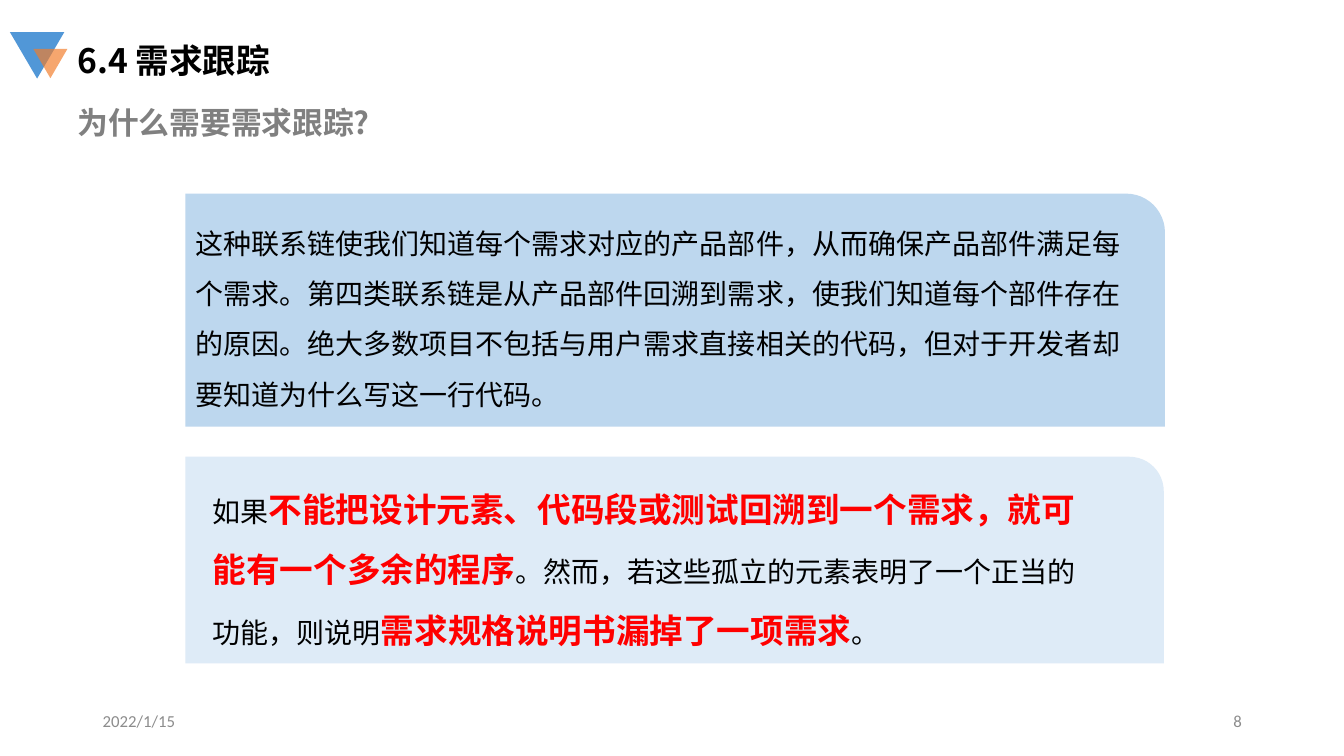
from lxml.etree import SubElement
from pptx import Presentation
from pptx.dml.color import RGBColor
from pptx.enum.shapes import MSO_SHAPE
from pptx.enum.text import MSO_ANCHOR, PP_ALIGN
from pptx.oxml.ns import qn
from pptx.util import Cm, Pt

COLORS = {
    "black": "000000", "red": "FF0000", "gray": "808080", "footer": "8C8C8C",
    "panel": "BDD7EE", "pale panel": "DEEBF7", "blue": "5197D7", "orange": "F37D2A",
}
CJK, LATIN = "Noto Sans CJK SC", "Calibri"

TITLE = "6.4 需求跟踪"
SUBTITLE = "为什么需要需求跟踪?"
REASON = ("这种联系链使我们知道每个需求对应的产品部件，从而确保产品部件满足每个需求。"
          "第四类联系链是从产品部件回溯到需求，使我们知道每个部件存在的原因。"
          "绝大多数项目不包括与用户需求直接相关的代码，但对于开发者却要知道为什么写这一行代码。")
# Text and whether it is emphasised
CONCLUSION = [
    ("如果", False),
    ("不能把设计元素、代码段或测试回溯到一个需求，就可能有一个多余的程序", True),
    ("。然而，若这些孤立的元素表明了一个正当的功能，则说明", False),
    ("需求规格说明书漏掉了一项需求", True),
    ("。", False),
]
# Text, left edge in cm, alignment
FOOTERS = [("2022/1/15", 2.34, PP_ALIGN.LEFT), ("8", 23.93, PP_ALIGN.RIGHT)]
# Left, top, width, height in cm, fill, opacity in percent
TRIANGLES = [
    (0.25, 0.81, 1.37, 1.17, "blue", 100),
    (0.84, 1.23, 0.86, 0.74, "orange", 68),
]


def style(font, size, color, bold=False, name=CJK):
    font.size, font.bold, font.name = Pt(size), bold, name
    font.color.rgb = RGBColor.from_string(COLORS[color])
    SubElement(font._element, qn("a:ea"), typeface=name)


def add_filled(kind, left, top, width, height, color):
    shape = page.shapes.add_shape(kind, Cm(left), Cm(top), Cm(width), Cm(height))
    shape.shadow.inherit = False
    shape.fill.solid()
    shape.fill.fore_color.rgb = RGBColor.from_string(COLORS[color])
    shape.line.fill.background()
    return shape


def add_text(left, top, width, height, anchor=MSO_ANCHOR.TOP):
    box = page.shapes.add_textbox(Cm(left), Cm(top), Cm(width), Cm(height))
    box.text_frame.word_wrap = True
    box.text_frame.vertical_anchor = anchor
    return box.text_frame.paragraphs[0]


deck = Presentation()
deck.slide_width, deck.slide_height = Cm(33.87), Cm(19.05)
page = deck.slides.add_slide(deck.slide_layouts[5])

# Title and subtitle
title = page.shapes.title
title.left, title.top, title.width, title.height = Cm(1.7), Cm(0.89), Cm(8.51), Cm(1.27)
title.text_frame.text = TITLE
title.text_frame.vertical_anchor = MSO_ANCHOR.TOP
para = title.text_frame.paragraphs[0]
para.alignment = PP_ALIGN.LEFT
style(para.font, 24, "black", bold=True)

para = add_text(1.7, 2.49, 12.42, 1.19)
para.text = SUBTITLE
style(para.font, 22, "gray", bold=True)

# Triangle emblem
for left, top, width, height, color, opacity in TRIANGLES:
    triangle = add_filled(MSO_SHAPE.ISOSCELES_TRIANGLE, left, top, width, height, color)
    triangle.rotation = 180
    if opacity < 100:
        tint = triangle.fill._xPr.find(qn("a:solidFill"))[0]
        SubElement(tint, qn("a:alpha"), val=str(opacity * 1000))

# Panel with the reason
panel = add_filled(MSO_SHAPE.ROUND_1_RECTANGLE, 4.67, 4.88, 24.69, 5.87, "panel")
panel.text_frame.word_wrap = True
panel.text_frame.vertical_anchor = MSO_ANCHOR.MIDDLE
para = panel.text_frame.paragraphs[0]
para.text = REASON
para.alignment, para.line_spacing = PP_ALIGN.LEFT, 1.5
style(para.font, 20, "black")

# Panel with the conclusion
add_filled(MSO_SHAPE.ROUND_1_RECTANGLE, 4.67, 11.51, 24.66, 5.21, "pale panel")
para = add_text(5.11, 11.68, 22.56, 4.88)
para.line_spacing = 1.5
for text, emphasised in CONCLUSION:
    span = para.add_run()
    span.text = text
    style(span.font, 24 if emphasised else 20, "red" if emphasised else "black", emphasised)

# Date and page number
for text, left, alignment in FOOTERS:
    para = add_text(left, 17.65, 7.62, 1.02, MSO_ANCHOR.MIDDLE)
    para.text, para.alignment = text, alignment
    style(para.font, 12, "footer", name=LATIN)

deck.save("out.pptx")
